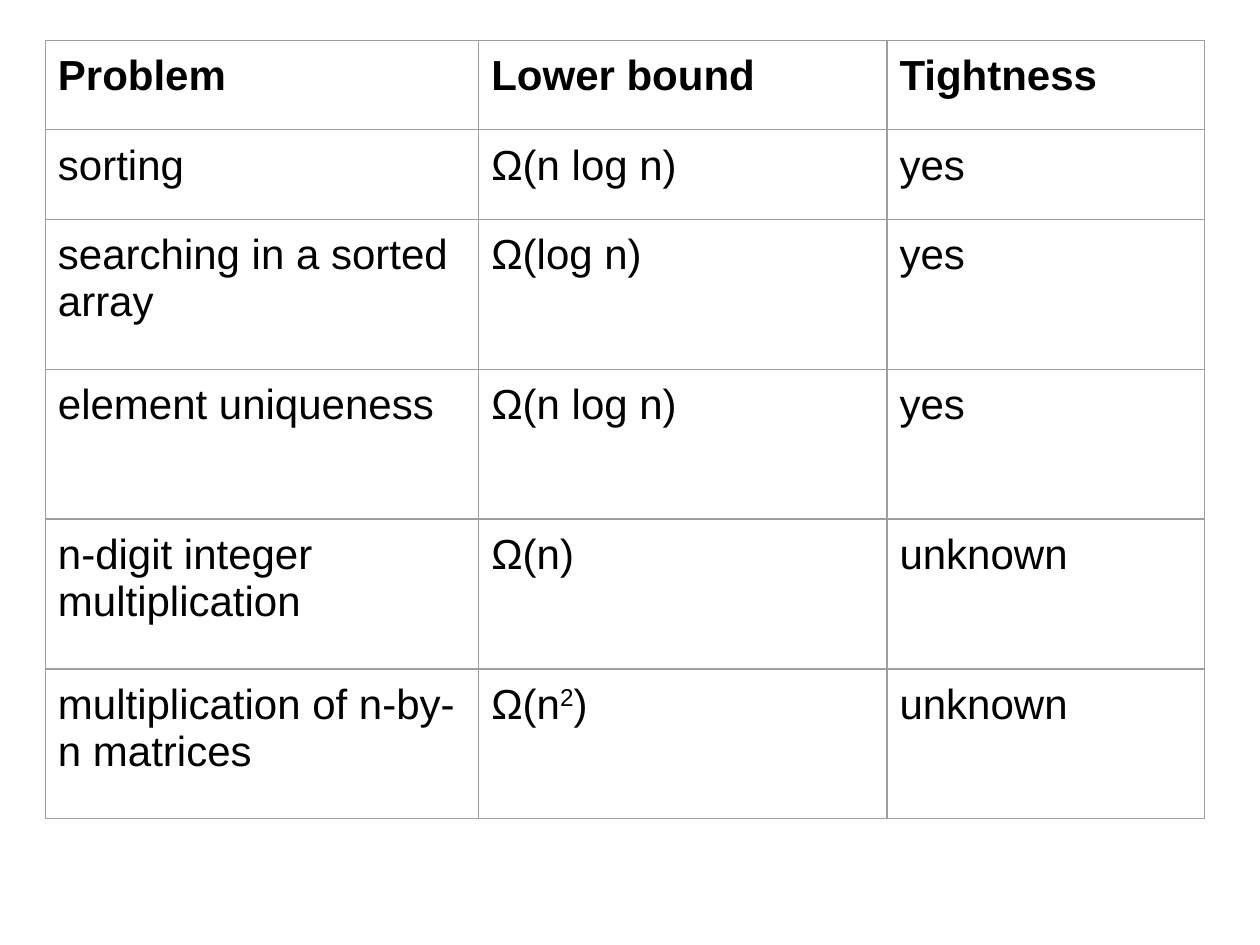
from lxml.etree import SubElement
from pptx import Presentation
from pptx.dml.color import RGBColor as RGB
from pptx.oxml.ns import qn
from pptx.util import Inches, Pt

COLORS = {"text": "000000", "border": "9E9E9E", "background": "FFFFFF"}
COLUMN_WIDTHS = [3.44, 3.24, 2.52]
ROW_HEIGHTS = [0.71] * 2 + [1.19] * 4
BOUNDS = [
    ("Problem", "Lower bound", "Tightness"),
    ("sorting", "Ω(n log n)", "yes"),
    ("searching in a sorted array", "Ω(log n)", "yes"),
    ("element uniqueness", "Ω(n log n)", "yes"),
    ("n-digit integer multiplication", "Ω(n)", "unknown"),
    ("multiplication of n-by-n matrices", ("Ω(n", "2", ")"), "unknown"),
]


class SlideBuilder:
    font = "Arial"
    size = Pt(24)
    margin = Inches(0.1)
    border_width = Pt(0.75)

    def __init__(self, slide):
        self.slide = slide
        background = slide.background.fill
        background.solid()
        background.fore_color.rgb = RGB.from_string(COLORS["background"])

    def table(self, left, top, widths, heights, rows):
        table = self.slide.shapes.add_table(
            len(rows), len(widths), Inches(left), Inches(top),
            Inches(sum(widths)), Inches(sum(heights))).table
        table.horz_banding = False
        for column, width in zip(table.columns, widths):
            column.width = Inches(width)
        for row_index, (row, height) in enumerate(zip(rows, heights)):
            table.rows[row_index].height = Inches(height)
            for column_index, content in enumerate(row):
                self.cell(table.cell(row_index, column_index), content, row_index == 0)

    def cell(self, cell, content, bold):
        cell.margin_left = cell.margin_right = self.margin
        cell.margin_top = cell.margin_bottom = self.margin
        self.borders(cell)
        cell.fill.background()
        parts = (content,) if isinstance(content, str) else content
        paragraph = cell.text_frame.paragraphs[0]
        for index, part in enumerate(parts):
            run = paragraph.add_run()
            run.text = part
            run.font.name = self.font
            run.font.size = self.size
            run.font.bold = bold
            run.font.color.rgb = RGB.from_string(COLORS["text"])
            if index % 2:
                run._r.get_or_add_rPr().set("baseline", "30000")

    def borders(self, cell):
        properties = cell._tc.get_or_add_tcPr()
        for side in ("a:lnL", "a:lnR", "a:lnT", "a:lnB"):
            line = SubElement(properties, qn(side), w=str(self.border_width))
            fill = SubElement(line, qn("a:solidFill"))
            SubElement(fill, qn("a:srgbClr"), val=COLORS["border"])


def main():
    deck = Presentation()
    deck.slide_width, deck.slide_height = Inches(10), Inches(7.5)
    builder = SlideBuilder(deck.slides.add_slide(deck.slide_layouts[6]))
    builder.table(0.36, 0.32, COLUMN_WIDTHS, ROW_HEIGHTS, BOUNDS)
    deck.save("out.pptx")


if __name__ == "__main__":
    main()
